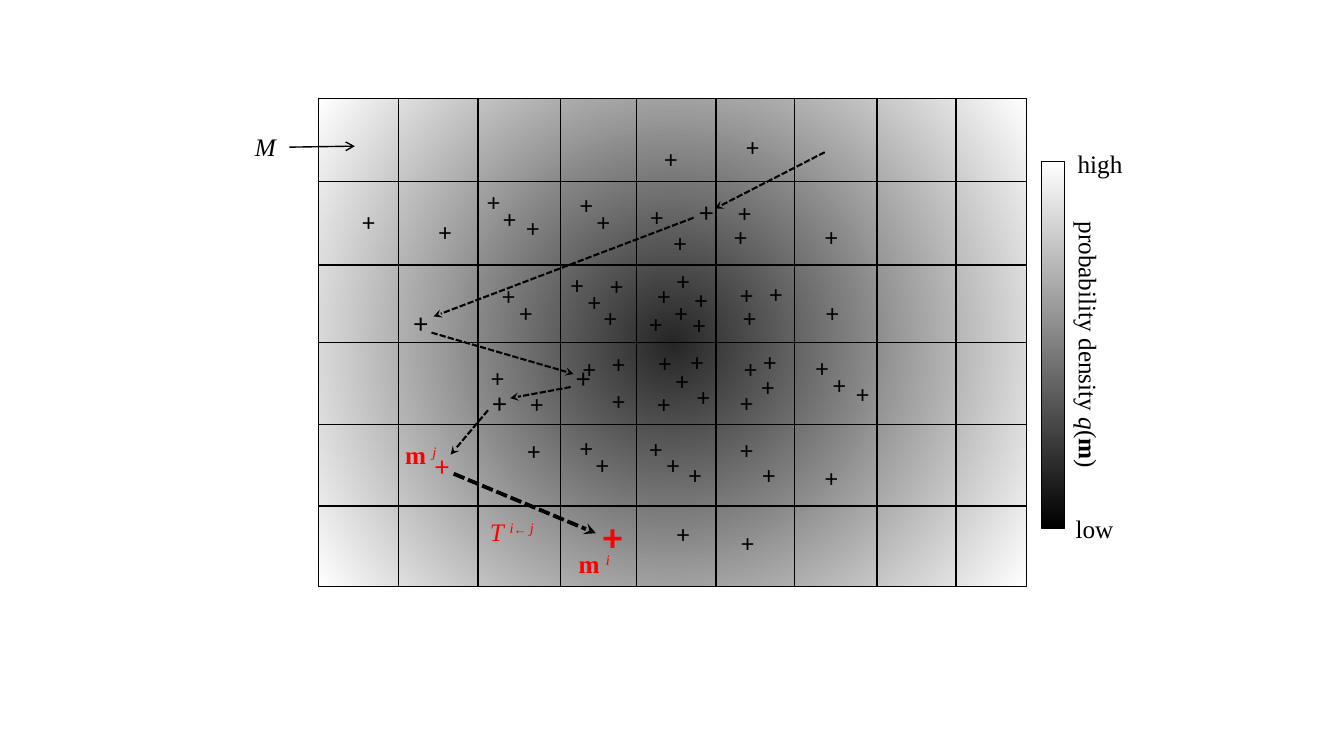
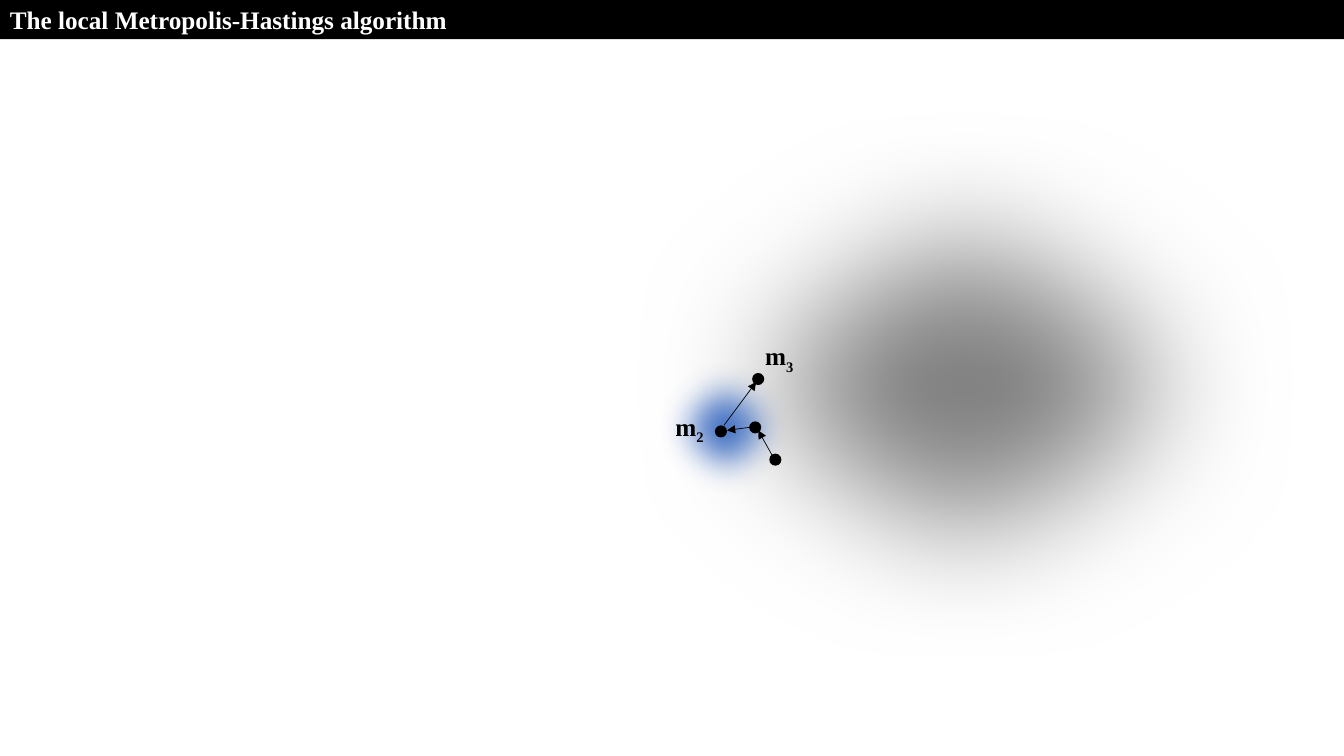
"""Draw the sampled probability density and the local Metropolis-Hastings walk."""
from dataclasses import dataclass
from typing import Optional

from lxml import etree
from pptx import Presentation
from pptx.dml.color import RGBColor
from pptx.enum.dml import MSO_LINE
from pptx.enum.shapes import MSO_CONNECTOR, MSO_SHAPE
from pptx.enum.text import MSO_ANCHOR, MSO_AUTO_SIZE as AUTO, PP_ALIGN as AL
from pptx.oxml.ns import qn
from pptx.util import Inches, Pt

COLORS = {"ink": "000000", "paper": "FFFFFF", "accent": "FF0000", "core": "262626",
          "cloud": "808080", "proposal": "4472C4", "proposal_line": "325491"}
SERIF, SANS = "Times New Roman", "Calibri"
LEFT, TOP, WIDTH, HEIGHT = 3.16, 0.98, 7.02, 4.84
COLUMNS = (3.95, 4.74, 5.56, 6.31, 7.1, 7.88, 8.7, 9.48)
ROWS = (1.8, 2.63, 3.4, 4.21, 5.02)
MIDDLE_ROW = 3.4
DOT = 0.12


@dataclass(frozen=True)
class Run:
    text: str
    bold: bool = False
    italic: bool = False
    base: int = 0
    size: float = 18


@dataclass(frozen=True)
class Label:
    left: float
    top: float
    width: float
    runs: tuple[Run, ...]
    color: str = "ink"
    align: AL = AL.LEFT
    rotation: float = 0
    wrap: bool = True


@dataclass(frozen=True)
class Plus:
    left: float
    top: float
    size: float = 18
    color: str = "ink"
    bold: bool = False


@dataclass(frozen=True)
class Line:
    x1: float
    y1: float
    x2: float
    y2: float
    width: float = 1
    dashed: bool = False
    tail: Optional[str] = None


@dataclass(frozen=True)
class Cloud:
    box: tuple[float, float, float, float]
    color: str
    soft: float
    line: Optional[str] = None


SAMPLES = (
    (4.74, 1.85), (4.9, 2.02), (5.13, 2.11), (4.78, 3.59), (5.17, 3.85), (6.35, 4.3),
    (6.52, 4.46), (6.74, 4.56), (8, 3.5), (8.17, 3.66), (8.4, 3.75), (6.43, 2.78),
    (6.6, 2.95), (6.78, 3.07), (6.8, 2.82), (6.35, 3.06), (6.62, 2.63), (6.44, 3.45),
    (6.61, 3.62), (6.82, 3.78), (6.43, 3.85), (7.29, 3.51), (7.46, 3.68), (7.25, 3.84),
    (7.48, 3.44), (7.25, 4.31), (7.47, 4.56), (5.69, 3.51), (5.98, 3.46), (5.98, 3.82),
    (5.57, 2.67), (5.74, 2.84), (5.9, 3), (5.96, 2.68), (7.25, 2.77), (7.28, 3),
    (7.54, 2.76), (6.36, 2), (6.59, 2.26), (5.66, 4.29), (5.82, 4.46), (4.89, 2.78),
    (5.06, 2.95), (5.66, 1.88), (5.83, 2.05), (7.23, 1.96), (7.19, 2.2), (8.09, 4.59),
    (8.1, 2.95), (8.09, 2.2), (7.31, 1.3), (6.5, 1.42), (5.14, 4.32), (4.26, 2.15),
    (3.5, 2.05), (7.26, 5.23), (6.62, 5.14), (6.76, 3.44))
VISITED = ((6.85, 1.93), (4.02, 3.03), (5.63, 3.58), (4.8, 3.82))
PLUSES = (
    *(Plus(x, y) for x, y in SAMPLES),
    *(Plus(x, y, 20) for x, y in VISITED),
    Plus(4.23, 4.45, 20, "accent"),
    Plus(5.92, 5.08, 28, "accent", True))
STEPS = ((8.18, 1.51, 7.09, 2.07), (6.88, 2.16, 4.3, 3.14), (4.28, 3.3, 5.69, 3.71),
         (5.66, 3.84, 5.06, 3.95), (4.84, 4.07, 4.47, 4.51))
ARROWS = (
    Line(4.5, 4.7, 5.91, 5.29, 2.75, True, "stealth"),
    Line(2.87, 1.46, 3.52, 1.45, 1, False, "arrow"),
    *(Line(*step, 1.5, True, "stealth") for step in STEPS))
DENSITY_LABELS = (
    Label(9.41, 3.22, 2.78, (Run("probability density "), Run("q", italic=True), Run("("),
                             Run("m", bold=True), Run(")")), align=AL.CENTER, rotation=90),
    Label(10.57, 5.04, 0.87, (Run("low"),)),
    Label(10.59, 1.42, 0.87, (Run("high"),)),
    Label(3.92, 4.31, 0.55, (Run("m ", bold=True), Run("j", italic=True, base=30)), "accent"),
    Label(5.64, 5.39, 0.55, (Run("m ", bold=True), Run("i", italic=True, base=30)), "accent"),
    Label(4.76, 5.07, 0.73, (Run("T ", italic=True), Run("i", italic=True, base=30),
                             Run("← ", italic=True, base=30, size=16),
                             Run("j", italic=True, base=30)), "accent"),
    Label(2.43, 1.25, 0.54, (Run("M", italic=True),)))
CLOUDS = (Cloud((5.82, 0.82, 7.51, 6.02), "cloud", 1.39),
          Cloud((6.41, 3.46, 1.57, 1.57), "proposal", 0.35, "proposal_line"))
DOTS = ((7.63, 4.5), (7.43, 4.18), (7.09, 4.22), (7.46, 3.7))
MOVES = ((7.66, 4.52, 7.52, 4.27), (7.43, 4.24, 7.21, 4.27), (7.18, 4.22, 7.5, 3.79))
WALK_LABELS = tuple(
    Label(x, y, 0.5, (Run("m", bold=True), Run(n, bold=True, base=-25)), wrap=False)
    for x, y, n in ((6.6, 4.03, "2"), (7.49, 3.33, "3")))


def rgb(name: str) -> RGBColor:
    return RGBColor.from_string(COLORS[name])


def write(tf, runs: tuple[Run, ...], color: str, align: AL = AL.LEFT, font: str = SERIF) -> None:
    p = tf.paragraphs[0]
    p.alignment = align
    for run in runs:
        r = p.add_run()
        r.text = run.text
        fmt = {"name": font, "size": Pt(run.size), "bold": run.bold, "italic": run.italic}
        for key, value in fmt.items():
            setattr(r.font, key, value)
        r.font.color.rgb = rgb(color)
        if run.base:
            r._r.get_or_add_rPr().set("baseline", str(run.base * 1000))


def add_label(s, label: Label) -> None:
    sp = s.shapes.add_textbox(*map(Inches, (label.left, label.top, label.width, 0.4)))
    sp.rotation = label.rotation
    tf = sp.text_frame
    tf.word_wrap = label.wrap
    tf.auto_size = AUTO.SHAPE_TO_FIT_TEXT
    write(tf, label.runs, label.color, label.align)


def add_plus(s, plus: Plus) -> None:
    sp = s.shapes.add_textbox(*map(Inches, (plus.left, plus.top, 0.31, plus.size / 60)))
    tf = sp.text_frame
    fmt = {"word_wrap": True, "auto_size": AUTO.SHAPE_TO_FIT_TEXT, "margin_left": 0,
           "margin_top": 0, "margin_right": 0, "margin_bottom": 0}
    for key, value in fmt.items():
        setattr(tf, key, value)
    write(tf, (Run("+", bold=plus.bold, size=plus.size),), plus.color, AL.CENTER, SANS)


def add_line(s, line: Line):
    ends = map(Inches, (line.x1, line.y1, line.x2, line.y2))
    sp = s.shapes.add_connector(MSO_CONNECTOR.STRAIGHT, *ends)
    sp.line.color.rgb = rgb("ink")
    sp.line.width = Pt(line.width)
    if line.dashed:
        sp.line.dash_style = MSO_LINE.SQUARE_DOT
    spPr = sp._element.spPr
    if line.tail:
        etree.SubElement(spPr.find(qn("a:ln")), qn("a:tailEnd"), type=line.tail)
    etree.SubElement(spPr, qn("a:effectLst"))
    return sp


def add_block(s, kind: MSO_SHAPE, box: tuple[float, float, float, float],
              fill: Optional[str] = None, line: Optional[str] = None, width: float = 1):
    sp = s.shapes.add_shape(kind, *map(Inches, box))
    sp.shadow.inherit = False
    if fill:
        sp.fill.solid()
        sp.fill.fore_color.rgb = rgb(fill)
    if line:
        sp.line.color.rgb = rgb(line)
        sp.line.width = Pt(width)
    else:
        sp.line.fill.background()
    return sp


def add_gradient(s, box: tuple[float, float, float, float], first: str, last: str,
                 radial: bool = False):
    sp = add_block(s, MSO_SHAPE.RECTANGLE, box, line="ink", width=0.5)
    sp.fill.gradient()
    sp.fill.gradient_angle = 270
    for stop, color, position in zip(sp.fill.gradient_stops, (first, last), (0, 1)):
        stop.color.rgb = rgb(color)
        stop.position = position
    if radial:
        grad = sp._element.spPr.find(qn("a:gradFill"))
        grad.remove(grad.find(qn("a:lin")))
        circle = etree.Element(qn("a:path"), path="circle")
        etree.SubElement(circle, qn("a:fillToRect"), dict.fromkeys("ltrb", "50000"))
        grad.find(qn("a:gsLst")).addnext(circle)
    return sp


def add_cloud(s, cloud: Cloud) -> None:
    sp = add_block(s, MSO_SHAPE.OVAL, cloud.box, cloud.color, cloud.line)
    effects = sp._element.spPr.find(qn("a:effectLst"))
    etree.SubElement(effects, qn("a:softEdge"), rad=str(int(Inches(cloud.soft))))


def add_title_band(s, title: str) -> None:
    sp = add_block(s, MSO_SHAPE.RECTANGLE, (0, -0.01, 13.33, 0.4), "ink")
    tf = sp.text_frame
    tf.word_wrap = True
    tf.auto_size = AUTO.SHAPE_TO_FIT_TEXT
    tf.vertical_anchor = MSO_ANCHOR.MIDDLE
    write(tf, (Run(title, bold=True),), "paper")


def draw_density(s) -> None:
    field = add_gradient(s, (LEFT, TOP, WIDTH, HEIGHT), "core", "paper", radial=True)
    add_gradient(s, (10.33, 1.6, 0.23, 3.64), "paper", "ink")
    for x in COLUMNS:
        add_line(s, Line(x, TOP, x, TOP + HEIGHT))
    for y in ROWS:
        sp = add_line(s, Line(LEFT, y, LEFT + WIDTH, y))
        if y == MIDDLE_ROW:
            sp.begin_connect(field, 1)
            sp.end_connect(field, 3)
    for plus in PLUSES:
        add_plus(s, plus)
    for label in DENSITY_LABELS:
        add_label(s, label)
    for arrow in ARROWS:
        add_line(s, arrow)


def draw_walk(s) -> None:
    add_title_band(s, "The local Metropolis-Hastings algorithm")
    for cloud in CLOUDS:
        add_cloud(s, cloud)
    for x, y in DOTS:
        add_block(s, MSO_SHAPE.OVAL, (x, y, DOT, DOT), "ink")
    for move in MOVES:
        add_line(s, Line(*move, 0.5, False, "triangle"))
    for label in WALK_LABELS:
        add_label(s, label)


def main() -> None:
    prs = Presentation()
    prs.slide_width, prs.slide_height = Inches(13.33), Inches(7.5)
    for draw in (draw_density, draw_walk):
        draw(prs.slides.add_slide(prs.slide_layouts[6]))
    prs.save("out.pptx")


if __name__ == "__main__":
    main()
